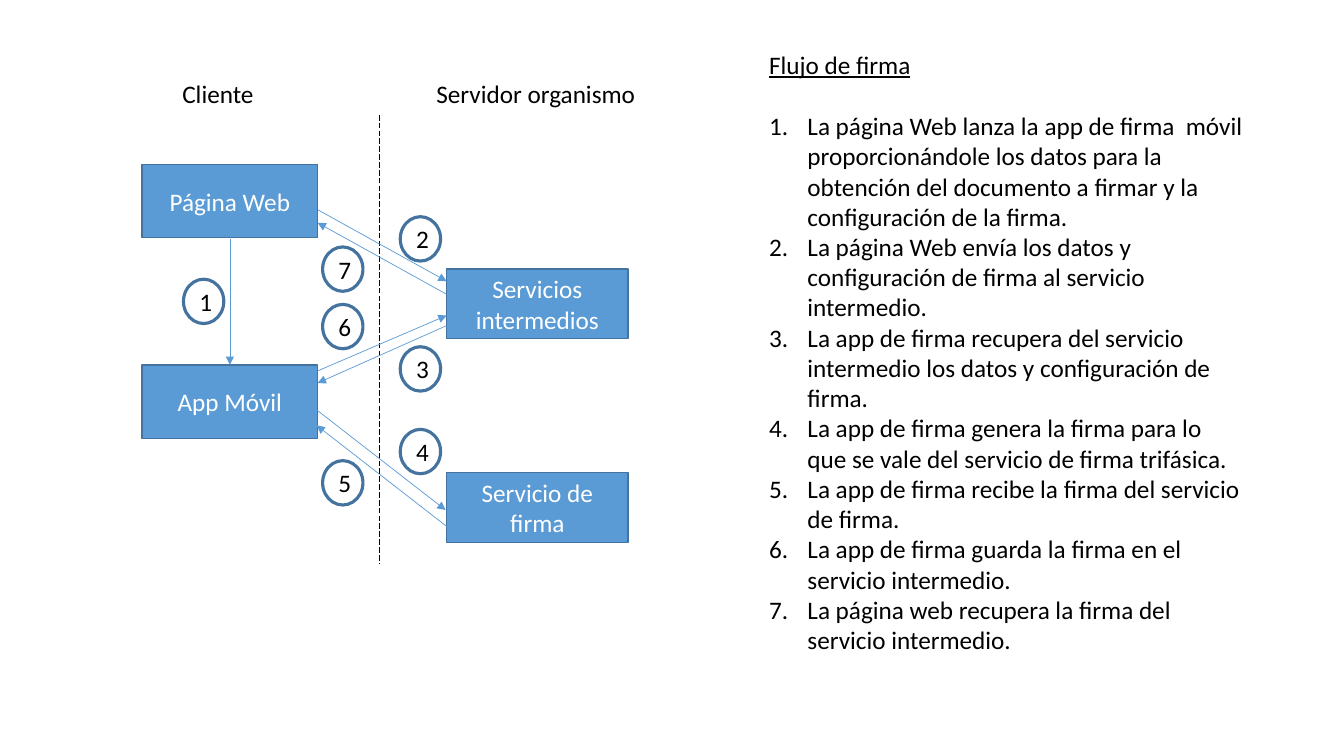
from typing import NamedTuple

from lxml import etree
from pptx import Presentation
from pptx.dml.color import RGBColor
from pptx.enum.dml import MSO_LINE
from pptx.enum.shapes import MSO_CONNECTOR, MSO_SHAPE
from pptx.enum.text import MSO_ANCHOR, MSO_AUTO_SIZE, PP_ALIGN
from pptx.oxml.ns import qn
from pptx.util import Inches, Pt

COLORS = {"box": "5B9BD5", "outline": "43739E", "text": "000000", "box_text": "FFFFFF"}
FONT, TEXT_SIZE = "Calibri", 18

# Columns shared by boxes, arrows and step numbers
CLIENT_X, CLIENT_W, CLIENT_H = 1.41, 1.74, 0.73
SERVER_X, SERVER_W, SERVER_H = 4.43, 1.8, 0.69
CLIENT_EDGE = CLIENT_X + CLIENT_W
CLIENT_MID = CLIENT_X + CLIENT_W / 2
STEP_W, STEP_H = 0.4, 0.44
STEP_LEFT, STEP_RIGHT = 3.2, 3.97
NUMBER_INDENT = 0.38


class Box(NamedTuple):
    text: str
    x: float
    y: float
    w: float
    h: float


class Arrow(NamedTuple):
    x1: float
    y1: float
    x2: float
    y2: float


class Step(NamedTuple):
    number: int
    x: float
    y: float


BOXES = [
    Box("Página Web", CLIENT_X, 1.63, CLIENT_W, CLIENT_H),
    Box("App Móvil", CLIENT_X, 3.62, CLIENT_W, CLIENT_H),
    Box("Servicios intermedios", SERVER_X, 2.67, SERVER_W, SERVER_H),
    Box("Servicio de firma", SERVER_X, 4.69, SERVER_W, SERVER_H),
]
HEADINGS = [
    Box("Cliente", 1.71, 0.73, 0.92, 0.4),
    Box("Servidor organismo", 4.23, 0.73, 2.19, 0.4),
]
ARROWS = [
    Arrow(CLIENT_MID, 2.37, CLIENT_MID, 3.62),
    Arrow(CLIENT_EDGE, 2.08, SERVER_X, 2.79),
    Arrow(SERVER_X, 3.23, CLIENT_EDGE, 3.8),
    Arrow(CLIENT_EDGE, 3.68, SERVER_X, 3.13),
    Arrow(SERVER_X, 2.92, CLIENT_EDGE, 2.21),
    Arrow(4.44, 5.23, 3.14, 4.22),
    Arrow(3.12, 4.05, 4.42, 5.06),
]
STEPS = [
    Step(1, 1.82, 2.77),
    Step(2, STEP_RIGHT, 2.15),
    Step(3, STEP_RIGHT, 3.44),
    Step(4, STEP_RIGHT, 4.26),
    Step(5, STEP_LEFT, 4.57),
    Step(6, STEP_LEFT, 3.02),
    Step(7, STEP_LEFT, 2.45),
]
FLOW_TITLE = "Flujo de firma"
FLOW = [
    "La página Web lanza la app de firma  móvil proporcionándole los datos para la "
    "obtención del documento a firmar y la configuración de la firma.",
    "La página Web envía los datos y configuración de firma al servicio intermedio.",
    "La app de firma recupera del servicio intermedio los datos y configuración de firma.",
    "La app de firma genera la firma para lo que se vale del servicio de firma trifásica.",
    "La app de firma recibe la firma del servicio de firma.",
    "La app de firma guarda la firma en el servicio intermedio.",
    "La página web recupera la firma del servicio intermedio.",
]


def rgb(name: str) -> RGBColor:
    return RGBColor.from_string(COLORS[name])


def write(paragraph, text: str, color: str = "text"):
    run = paragraph.add_run()
    run.text = text
    run.font.name, run.font.size = FONT, Pt(TEXT_SIZE)
    run.font.color.rgb = rgb(color)
    return run


def add_node(slide, kind: MSO_SHAPE, box: Box, line_width: float,
             text_color: str, fill: str | None = None) -> None:
    shape = slide.shapes.add_shape(kind, *map(Inches, box[1:]))
    shape.shadow.inherit = False
    if fill:
        shape.fill.solid()
        shape.fill.fore_color.rgb = rgb(fill)
    else:
        shape.fill.background()
    shape.line.color.rgb = rgb("outline")
    shape.line.width = Pt(line_width)
    frame = shape.text_frame
    frame.vertical_anchor = MSO_ANCHOR.MIDDLE
    frame.paragraphs[0].alignment = PP_ALIGN.CENTER
    write(frame.paragraphs[0], box.text, text_color)


def add_line(slide, path: Arrow, color: str):
    line = slide.shapes.add_connector(MSO_CONNECTOR.STRAIGHT, *map(Inches, path))
    line.line.color.rgb = rgb(color)
    line.line.width = Pt(0.5)
    etree.SubElement(line._element.spPr, qn("a:effectLst"))
    return line


def add_arrow(slide, path: Arrow) -> None:
    line = add_line(slide, path, "box")
    etree.SubElement(line.line._get_or_add_ln(), qn("a:tailEnd"), type="triangle")


def add_text(slide, box: Box, wrap: bool):
    frame = slide.shapes.add_textbox(*map(Inches, box[1:])).text_frame
    frame.word_wrap = wrap
    frame.auto_size = MSO_AUTO_SIZE.SHAPE_TO_FIT_TEXT
    return write(frame.paragraphs[0], box.text), frame


def add_numbered(frame, text: str) -> None:
    paragraph = frame.add_paragraph()
    write(paragraph, text)
    props = paragraph._p.get_or_add_pPr()
    props.set("marL", str(Inches(NUMBER_INDENT)))
    props.set("indent", str(-Inches(NUMBER_INDENT)))
    etree.SubElement(props, qn("a:buFont"), typeface="+mj-lt")
    etree.SubElement(props, qn("a:buAutoNum"), type="arabicPeriod")


prs = Presentation()
prs.slide_width, prs.slide_height = Inches(13.33), Inches(7.5)
slide = prs.slides.add_slide(prs.slide_layouts[6])

# Client and server sides with their divider
for box in BOXES:
    add_node(slide, MSO_SHAPE.RECTANGLE, box, 1, "box_text", fill="box")
divider = add_line(slide, Arrow(3.76, 1.14, 3.76, 5.6), "text")
divider.line.dash_style = MSO_LINE.LONG_DASH
for heading in HEADINGS:
    add_text(slide, heading, wrap=False)

# Messages and their step numbers
for arrow in ARROWS:
    add_arrow(slide, arrow)
for step in STEPS:
    circle = Box(str(step.number), step.x, step.y, STEP_W, STEP_H)
    add_node(slide, MSO_SHAPE.OVAL, circle, 2.25, "text")

# Numbered explanation
title, flow_frame = add_text(slide, Box(FLOW_TITLE, 7.53, 0.44, 4.92, 6.16), wrap=True)
title.font.underline = True
flow_frame.paragraphs[0].space_after = Pt(22)
for sentence in FLOW:
    add_numbered(flow_frame, sentence)

prs.save("out.pptx")
